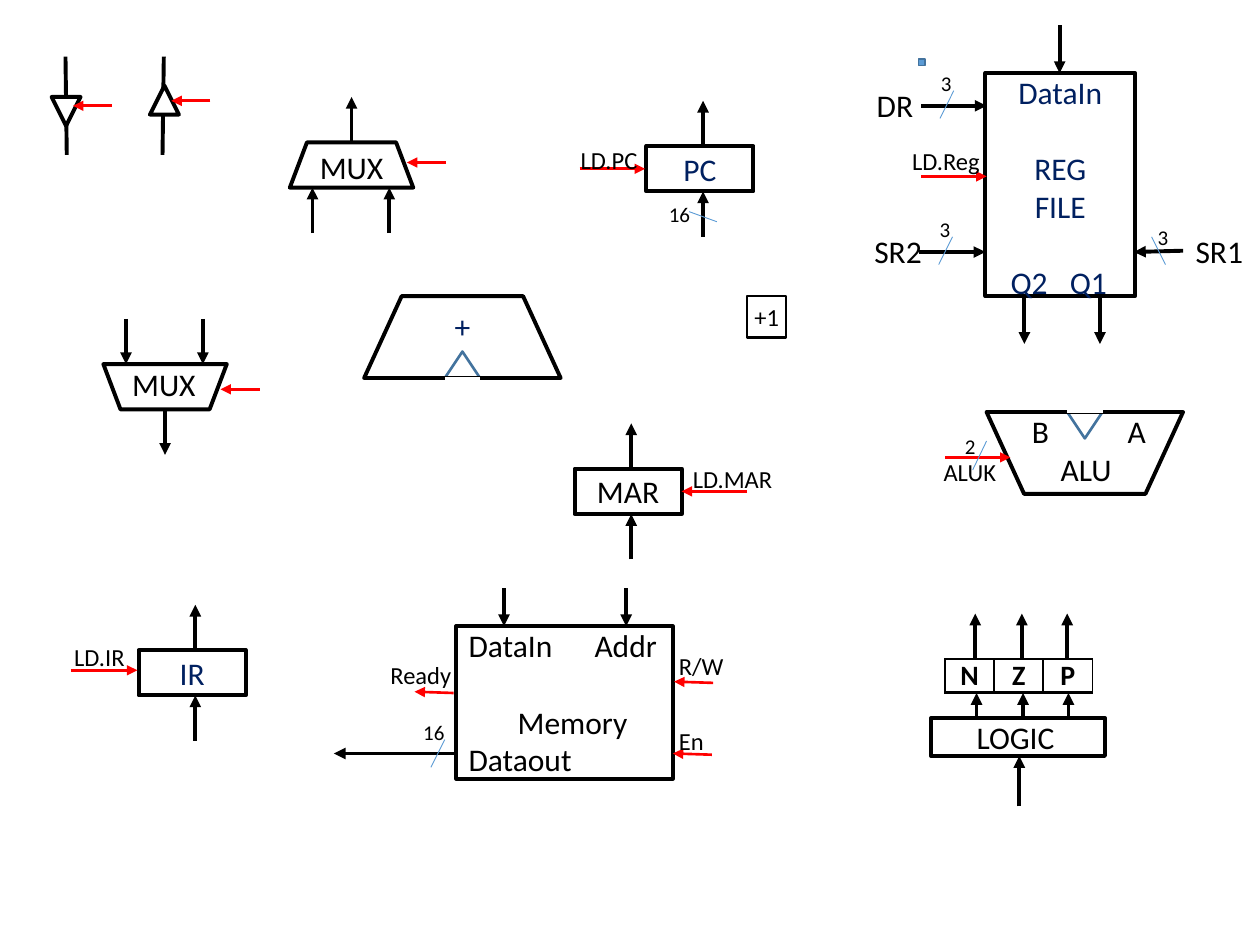
from lxml import etree
from pptx import Presentation
from pptx.dml.color import RGBColor
from pptx.enum.shapes import MSO_CONNECTOR, MSO_SHAPE
from pptx.enum.text import MSO_ANCHOR, MSO_AUTO_SIZE, PP_ALIGN
from pptx.oxml.ns import qn
from pptx.util import Inches, Pt

RECTANGLE, TRAPEZOID, TRIANGLE = MSO_SHAPE.RECTANGLE, MSO_SHAPE.TRAPEZOID, MSO_SHAPE.ISOSCELES_TRIANGLE
STRAIGHT = MSO_CONNECTOR.STRAIGHT
TOP, MIDDLE = MSO_ANCHOR.TOP, MSO_ANCHOR.MIDDLE
LEFT, CENTER = PP_ALIGN.LEFT, PP_ALIGN.CENTER
FIT = MSO_AUTO_SIZE.SHAPE_TO_FIT_TEXT
BLACK, WHITE, RED, NAVY = "000000", "FFFFFF", "FF0000", "002060"
BLUE, DARK_BLUE = "5B9BD5", "43739E"
LABEL_HEIGHTS = {12: 0.3, 14: 0.34, 18: 0.4}


def color(value):
    """Turn a hex string into a colour."""
    return RGBColor.from_string(value)


def indent(para, margin=0, tab=None):
    """Set the left margin and an optional tab stop of a paragraph."""
    props = para._p.get_or_add_pPr()
    props.set("marL", str(Inches(margin)))
    if tab is not None:
        stops = etree.SubElement(props, qn("a:tabLst"))
        etree.SubElement(stops, qn("a:tab"), pos=str(Inches(tab)), algn="l")


class Diagram:
    """Draws the parts of a datapath on one slide."""

    font = "Calibri"

    def __init__(self, page):
        """Keep the slide to draw on."""
        self.page = page

    def set_text(self, frame, text, size, ink=BLACK, align=LEFT, bold=False):
        """Fill a text frame and format its runs."""
        frame.text = text
        for para in frame.paragraphs:
            para.alignment = align
            for span in para.runs:
                span.font.name, span.font.size, span.font.bold = self.font, Pt(size), bold
                span.font.color.rgb = color(ink)

    def box(self, kind, at, text="", ink=BLACK, size=18, line=BLACK, weight=2.25, fill=None,
            adjust=None, flip=False, align=CENTER, anchor=MIDDLE, insets=(0.1, 0.05, 0.1, 0.05)):
        """Add an outlined shape with optional text."""
        shape = self.page.shapes.add_shape(kind, *map(Inches, at))
        shape.shadow.inherit = False
        if fill:
            shape.fill.solid()
            shape.fill.fore_color.rgb = color(fill)
        else:
            shape.fill.background()
        shape.line.color.rgb = color(line)
        shape.line.width = Pt(weight)
        if adjust is not None:
            shape.adjustments[0] = adjust
        if flip:
            shape._element.spPr.get_or_add_xfrm().set("flipV", "1")
        if text:
            frame = shape.text_frame
            frame.vertical_anchor = anchor
            (frame.margin_left, frame.margin_top,
             frame.margin_right, frame.margin_bottom) = map(Inches, insets)
            self.set_text(frame, text, size, ink, align)
        return shape

    def line(self, x1, y1, x2, y2, ink=BLACK, weight=2.25, arrow=False):
        """Add a straight line, with an arrowhead at its end if asked."""
        connector = self.page.shapes.add_connector(STRAIGHT, *map(Inches, (x1, y1, x2, y2)))
        connector.line.color.rgb = color(ink)
        connector.line.width = Pt(weight)
        if arrow:
            outline = connector._element.spPr.find(qn("a:ln"))
            etree.SubElement(outline, qn("a:tailEnd"), type="triangle")
        etree.SubElement(connector._element.spPr, qn("a:effectLst"))

    def arrow(self, *points):
        """Add a black data arrow."""
        self.line(*points, arrow=True)

    def control(self, *points):
        """Add a red control arrow."""
        self.line(*points, ink=RED, weight=1.5, arrow=True)

    def slash(self, *points):
        """Add a thin bus-width mark."""
        self.line(*points, ink=BLUE, weight=0.5)

    def label(self, text, x, y, width, size=14):
        """Add a text label."""
        area = (x, y, width, LABEL_HEIGHTS[size])
        frame = self.page.shapes.add_textbox(*map(Inches, area)).text_frame
        frame.word_wrap = size == 12
        frame.auto_size = FIT
        self.set_text(frame, text, size)
        return frame

    def register(self, text, x, y, ink=NAVY):
        """Add a register with an arrow in from below and out above."""
        self.box(RECTANGLE, (x, y, 0.85, 0.36), text, ink)
        for start in (y + 0.72, y):
            self.arrow(x + 0.45, start, x + 0.45, start - 0.36)

    def buffer(self, x, y, control_y, flip=False):
        """Add a tri-state buffer on a vertical wire."""
        lean = 0.01 if flip else -0.01
        self.line(x, 0.45, x + lean, 1.23)
        self.box(TRIANGLE, (x - 0.11, y, 0.23, 0.23), fill=WHITE, flip=flip)
        self.control(x + 0.37, control_y, x + 0.06, control_y)

    def mux(self, x, y, flip=False):
        """Add a multiplexer with two inputs, one output and a select."""
        self.box(TRAPEZOID, (x, y, 0.98, 0.36), "" if flip else "MUX", adjust=0.379, flip=flip)
        step = 0.36 if flip else -0.36
        entry = y if flip else y + 0.36
        for offset in (0.18, 0.79):
            self.arrow(x + offset, entry - step, x + offset, entry)
        self.arrow(x + 0.49, entry + step, x + 0.49, entry + 2 * step)
        select = y + (0.2 if flip else 0.16)
        self.control(x + 1.24, select, x + 0.93, select)

    def adder(self, x, y, text="", flip=False):
        """Add a notched trapezoid."""
        self.box(TRIANGLE, (x + 0.64, y if flip else y + 0.44, 0.28, 0.21),
                 line=DARK_BLUE, weight=1.5, flip=flip)
        self.box(TRAPEZOID, (x, y, 1.56, 0.65), text, NAVY, adjust=0.459, flip=flip,
                 anchor=TOP, insets=(0.1, 0, 0.1, 0))
        gap = y - 0.01 if flip else y + 0.66
        self.line(x + 0.64, gap, x + 0.92, gap, WHITE, 3)

    def flags(self, texts, x, y, width, height):
        """Add a one-row table of condition flags."""
        table = self.page.shapes.add_table(
            1, len(texts), *map(Inches, (x, y, width * len(texts), height))).table
        table.first_row = table.horz_banding = False
        for column, text in enumerate(texts):
            cell = table.cell(0, column)
            cell.margin_left = cell.margin_top = cell.margin_right = cell.margin_bottom = 0
            self.set_text(cell.text_frame, text, 16, align=CENTER, bold=True)
            props = cell._tc.get_or_add_tcPr()
            for side, weight in (("L", 1), ("R", 1), ("T", 1), ("B", 2)):
                edge = etree.SubElement(props, qn("a:ln" + side), w=str(Pt(weight)))
                fill = etree.SubElement(edge, qn("a:solidFill"))
                etree.SubElement(fill, qn("a:srgbClr"), val=BLACK)
            cell.fill.background()


deck = Presentation()
deck.slide_width, deck.slide_height = Inches(10), Inches(7.5)
diagram = Diagram(deck.slides.add_slide(deck.slide_layouts[6]))

# Register file
diagram.box(RECTANGLE, (7.29, 0.47, 0.05, 0.05), line=DARK_BLUE, weight=1, fill=BLUE)
register_file = diagram.box(RECTANGLE, (7.82, 0.58, 1.19, 1.77), "DataIn\nREG\nFILE\nQ2\tQ1", NAVY,
                            anchor=TOP, insets=(0.2, 0, 0.2, 0))
paras = register_file.text_frame.paragraphs
paras[1].space_before = paras[3].space_before = Pt(22)
paras[3].alignment = LEFT
indent(paras[3], tab=0.47)
for points in ((7.29, 2, 7.82, 2), (7.31, 0.84, 7.83, 0.84), (9.39, 1.99, 9, 2),
               (8.41, 0.2, 8.41, 0.58), (8.13, 2.35, 8.13, 2.73), (8.73, 2.35, 8.73, 2.73)):
    diagram.arrow(*points)
diagram.control(7.31, 1.4, 7.83, 1.4)

# Buffers, multiplexers, adders and registers
diagram.buffer(0.52, 0.77, 0.84, flip=True)
diagram.buffer(1.3, 0.68, 0.8)
diagram.mux(2.3, 1.13)
diagram.mux(0.82, 2.89, flip=True)
diagram.adder(2.89, 2.35, "+")
diagram.adder(7.83, 3.27, flip=True)
for name, x, y, ink in (("IR", 1.1, 5.16, NAVY), ("PC", 5.13, 1.16, NAVY), ("MAR", 4.56, 3.72, BLACK)):
    diagram.register(name, x, y, ink)
for points in ((0.56, 5.32, 1.09, 5.32), (4.6, 1.34, 5.12, 1.34),
               (5.93, 3.9, 5.41, 3.9), (7.5, 3.63, 8.02, 3.63)):
    diagram.control(*points)
diagram.box(RECTANGLE, (5.93, 2.35, 0.31, 0.33), "+1", size=14, weight=1.5, insets=(0, 0, 0, 0))
alu = diagram.label("B\tA\nALU", 8.09, 3.22, 1.12, 18)
indent(alu.paragraphs[0], tab=0.76)
indent(alu.paragraphs[1], margin=0.23)

# Condition codes
diagram.flags("NZP", 7.5, 5.23, 0.39, 0.27)
for x in (7.74, 8.11, 8.47):
    diagram.arrow(x, 5.23, x, 4.87)
    diagram.arrow(x + 0.01, 5.7, x + 0.01, 5.5)
diagram.box(RECTANGLE, (7.39, 5.7, 1.38, 0.3), "LOGIC", align=LEFT, anchor=TOP, insets=(0.36, 0, 0, 0))
diagram.arrow(8.09, 6.4, 8.09, 6)

# Memory
memory = diagram.box(RECTANGLE, (3.62, 4.97, 1.72, 1.21), "DataIn\tAddr\nMemory\nDataout",
                     align=LEFT, anchor=TOP, insets=(0.1, 0, 0.1, 0))
paras = memory.text_frame.paragraphs
indent(paras[0], tab=1)
indent(paras[1], margin=0.39)
paras[1].space_before = Pt(22)
for x in (4, 4.97):
    diagram.arrow(x, 4.67, x, 4.97)
diagram.arrow(3.62, 5.98, 2.65, 5.98)
for x, y in ((3.29, 5.49), (5.35, 5.41), (5.34, 5.98)):
    diagram.control(x + 0.31, y + 0.01, x, y)

# Bus widths and labels
for points in ((7.56, 1.88, 7.45, 2.1), (7.57, 0.72, 7.46, 0.94), (9.14, 1.88, 9.25, 2.1),
               (7.83, 3.5, 7.72, 3.73), (3.53, 5.87, 3.42, 6.09), (5.47, 1.68, 5.69, 1.76)):
    diagram.slash(*points)
for item in (("3", 7.36, 1.67, 0.37, 12), ("3", 7.37, 0.51, 0.37, 12), ("3", 9.09, 1.73, 0.37, 12),
             ("2", 7.56, 3.39, 0.37, 12), ("16", 3.26, 5.66, 0.45, 12), ("16", 5.21, 1.55, 0.4, 12),
             ("SR2", 6.84, 1.79, 0.58, 18), ("DR", 6.86, 0.63, 0.49, 18), ("SR1", 9.39, 1.79, 0.58, 18),
             ("MUX", 0.95, 2.85, 0.71, 18), ("LD.Reg", 7.14, 1.11, 0.74), ("LD.IR", 0.49, 5.05, 0.61),
             ("LD.PC", 4.51, 1.1, 0.66), ("LD.MAR", 5.4, 3.63, 0.84), ("ALUK", 7.39, 3.58, 0.62),
             ("Ready", 3, 5.19, 0.69), ("R/W", 5.29, 5.12, 0.56), ("En", 5.29, 5.71, 0.4)):
    diagram.label(*item)

deck.save("out.pptx")
